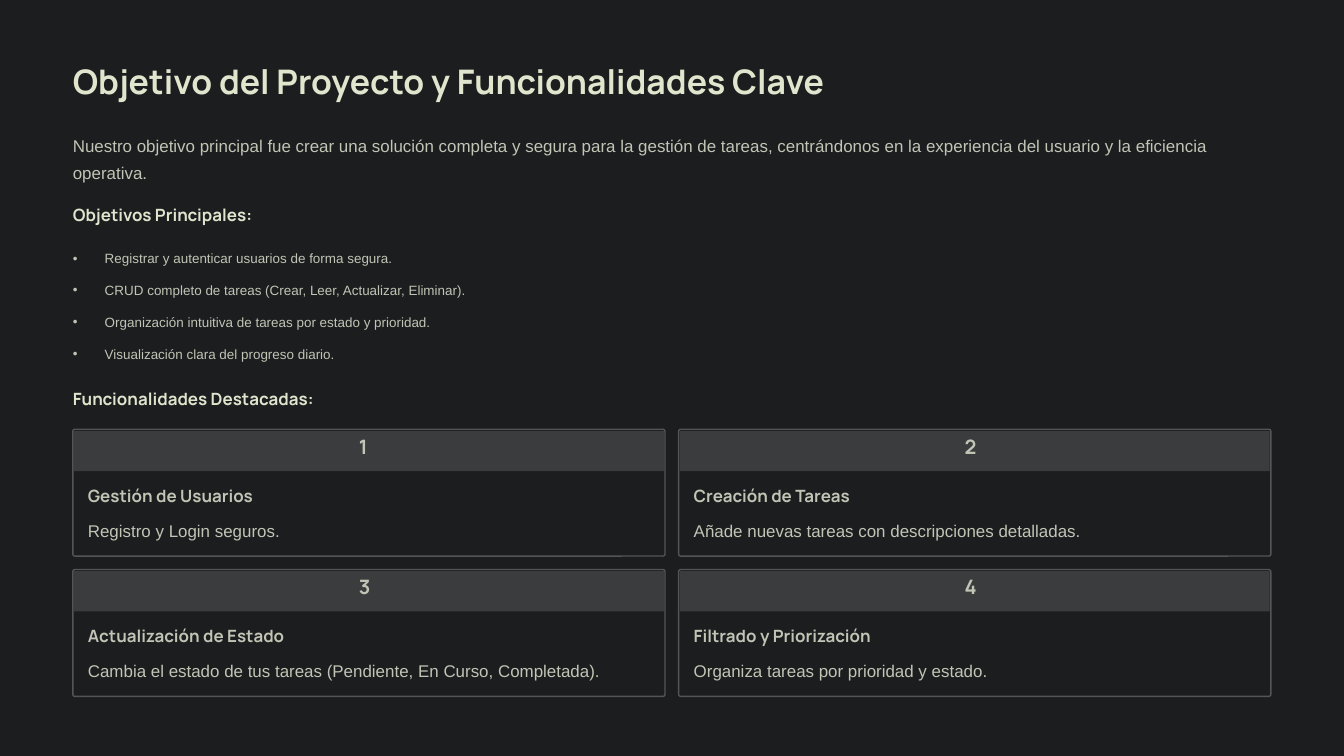
from pptx import Presentation
from pptx.dml.color import RGBColor
from pptx.enum.shapes import MSO_SHAPE as Shape
from pptx.enum.text import MSO_ANCHOR as Anchor, PP_ALIGN as Align
from pptx.oxml.ns import qn
from pptx.util import Inches, Pt
from lxml.etree import SubElement

COLORS = {"dark": "1C1D1F", "band": "3B3C3E", "border": "545557",
          "heading": "E1E5CD", "body": "C2C4B5"}


class Deck:
    """Style and current slide; lengths are percent of slide width and height."""

    def __init__(self, width, height):
        self.prs = Presentation()
        self.prs.slide_width, self.prs.slide_height = Inches(width), Inches(height)
        self.s = self.prs.slides.add_slide(self.prs.slide_layouts[6])
        fill = self.s.background.fill
        fill.solid()
        fill.fore_color.rgb = self.color("dark")

    def color(self, name):
        return RGBColor.from_string(COLORS[name])

    def box(self, x, y, w, h):
        sw, sh = self.prs.slide_width, self.prs.slide_height
        return [round(v * side / 100) for v, side in ((x, sw), (y, sh), (w, sw), (h, sh))]

    def text(self, x, y, w, h, text, size=14.5, leading=23, font="Arial",
             color="body", bold=False, bullet=False):
        tf = self.s.shapes.add_textbox(*self.box(x, y, w, h)).text_frame
        tf.margin_left = tf.margin_right = tf.margin_top = tf.margin_bottom = 0
        tf.word_wrap, tf.vertical_anchor = True, Anchor.TOP
        p = tf.paragraphs[0]
        p.text = text
        p.alignment, p.line_spacing = Align.LEFT, Pt(leading)
        if bullet:
            pPr = p._p.get_or_add_pPr()
            pPr.set("marL", str(Inches(0.38)))
            pPr.set("indent", str(-Inches(0.38)))
            SubElement(pPr, qn("a:buSzPct")).set("val", "100000")
            SubElement(pPr, qn("a:buFont")).set("typeface", font)
            SubElement(pPr, qn("a:buChar")).set("char", "•")
        r = p.runs[0]
        r.font.name, r.font.size, r.font.bold = font, Pt(size), bold
        r.font.color.rgb = self.color(color)

    def heading(self, x, y, w, text, h=2.78, size=14.5, leading=18, color="heading"):
        self.text(x, y, w, h, text, size, leading, "Manrope", color, bold=True)

    def panel(self, x, y, w, h, fill, radius, line=None):
        sp = self.s.shapes.add_shape(Shape.ROUNDED_RECTANGLE, *self.box(x, y, w, h))
        sp.shadow.inherit = False
        sp.adjustments[0] = radius
        sp.fill.solid()
        sp.fill.fore_color.rgb = self.color(fill)
        if line:
            sp.line.color.rgb = self.color(line)
            sp.line.width = Pt(1.2)
        else:
            sp.line.fill.background()

    def card(self, x, y, number, title, text):
        self.panel(x, y, 44.06, 16.78, "dark", 0.016, "border")
        self.panel(x + 0.09, y + 0.22, 43.88, 5.33, "band", 0.009)
        self.heading(x + 21.28, y + 1.22, 1.5, str(number), 3.33, 17, 17, "body")
        self.heading(x + 1.12, y + 7.33, 20, title, color="body")
        self.text(x + 1.12, y + 11.22, 41.88, 3.56, text)


LEFT, FULL = 5.42, 89.12
GOALS = [
    "Registrar y autenticar usuarios de forma segura.",
    "CRUD completo de tareas (Crear, Leer, Actualizar, Eliminar).",
    "Organización intuitiva de tareas por estado y prioridad.",
    "Visualización clara del progreso diario.",
]
FEATURES = [
    ("Gestión de Usuarios", "Registro y Login seguros."),
    ("Creación de Tareas", "Añade nuevas tareas con descripciones detalladas."),
    ("Actualización de Estado",
     "Cambia el estado de tus tareas (Pendiente, En Curso, Completada)."),
    ("Filtrado y Priorización", "Organiza tareas por prioridad y estado."),
]


def main():
    deck = Deck(16, 9)

    # Title and introduction
    deck.heading(LEFT, 7.89, 65, "Objetivo del Proyecto y Funcionalidades Clave",
                 5.56, 29, 36)
    deck.text(LEFT, 17.06, FULL, 7.11,
              "Nuestro objetivo principal fue crear una solución completa y segura para la "
              "gestión de tareas, centrándonos en la experiencia del usuario y la eficiencia "
              "operativa.")

    # Goals
    deck.heading(LEFT, 26.94, 25, "Objetivos Principales:")
    for i, goal in enumerate(GOALS):
        deck.text(LEFT, 32.42 + 4.19 * i, FULL, 3.56, goal, 11.5, 18.5, bullet=True)

    # Feature cards, two per row
    deck.heading(LEFT, 51.33, 25, "Funcionalidades Destacadas:")
    for i, feature in enumerate(FEATURES):
        row, col = divmod(i, 2)
        deck.card(LEFT + 45.08 * col, 56.78 + 18.56 * row, i + 1, *feature)

    deck.prs.save("out.pptx")


if __name__ == "__main__":
    main()
